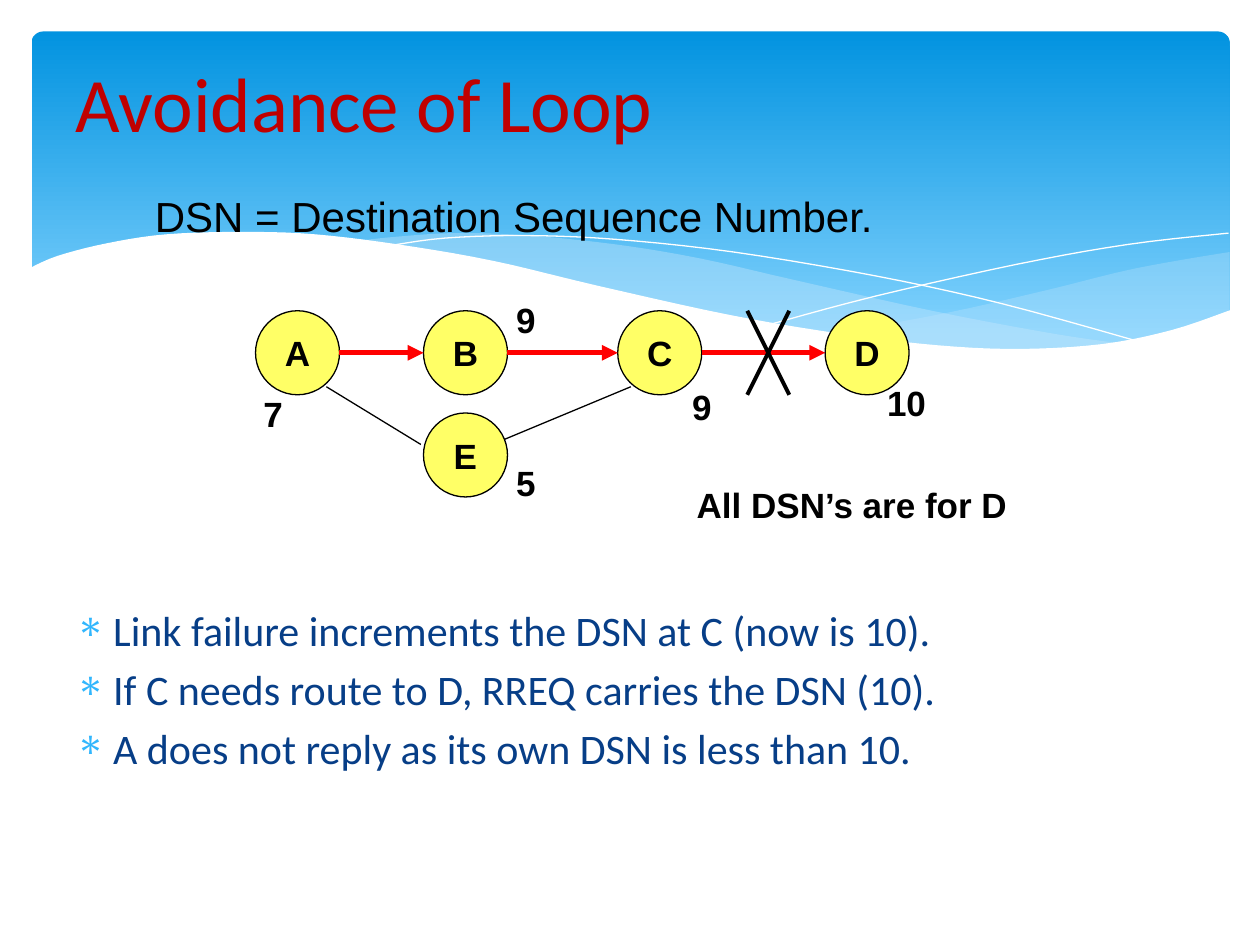
from pptx import Presentation
from pptx.dml.color import RGBColor
from pptx.enum import shapes, text
from pptx.oxml import parse_xml
from pptx.oxml.ns import nsdecls, qn
from pptx.util import Pt
from lxml import etree

THEME = dict(
    sky="0293E0", pale="83D3FE", mist="C6E7FC", white="FFFFFF", black="000000",
    title="C00000", body="073E87", mark="31B6FD", node="FFFF66", route="FF0000",
    big=44, mid=24, small=20, head="Calibri", sans="Arial",
)

TITLE = "Avoidance of Loop"
NOTE = "DSN = Destination Sequence Number."
POINTS = [
    "Link failure increments the DSN at C (now is 10).",
    "If C needs route to D, RREQ carries the DSN (10).",
    "A does not reply as its own DSN is less than 10.",
]

# Network: node -> left, top
SIZE = 48
ROW = 177.6
NODES = {"A": (146, ROW), "B": (242, ROW), "C": (353, ROW),
         "D": (471.5, ROW), "E": (242, 236)}
ROUTES = ["AB", "BC", "CD"]
LINKS = [((186.5, 221), (240.5, 254)), ((288.5, 251), (360.5, 221))]
CROSS = (427, ROW, 451, ROW + SIZE)
LABELS = [  # words, left, top, width
    ("10", 499.5, 214.5, 37), ("9", 388, 216.5, 26), ("9", 287.5, 167, 26),
    ("7", 143, 221, 26), ("5", 287.5, 260, 26),
]

# Waves: each is a list of smooth edges, with straight joins between them
RIGHT = [
    [(702.7, 144), (672.5, 149), (641.5, 155), (599, 165.6), (542, 178.6), (476, 190.8)],
    [(476, 190.8), (527, 197.3), (570, 199.6), (601, 199.4), (634, 197), (663, 191),
     (683, 185), (702.7, 177.8)],
]
MIDDLE = [
    [(643, 196.6), (602.6, 190.8), (533.5, 177.8), (453, 159.8), (399.6, 147.6),
     (352, 139.7), (302.4, 134.6), (260, 133.2), (225.4, 135.4), (206, 137.5)],
    [(206, 137.5), (260.6, 146.2), (323.3, 159.8), (407.5, 178.6), (478.8, 191.5),
     (530, 198), (573, 200.2), (617, 199.4), (643, 196.6)],
]
FRONT = [
    [(703.4, 177.1), (669.6, 188.6), (630, 196.6), (582.5, 199.4), (535.7, 197.3),
     (481, 190.8), (417, 180), (342, 163.4), (281.5, 149), (227.5, 139.7),
     (180, 133.9), (139, 132.5), (95, 133.9), (61.2, 139), (33, 146.2), (16.6, 153.4)],
    [(16.6, 236.9), (703.4, 236.9)],
]
FALL = [[(222.5, 140.4), (254, 136.1), (299.5, 134.6), (352, 136.8), (419, 144),
         (500.4, 157.7), (572.4, 173.5), (653, 195.8)]]
RISE = [[(441.4, 185), (500.4, 169.2), (580.3, 151.2), (644.4, 139.7), (702, 133.2)]]


def rgb(name):
    return RGBColor.from_string(THEME[name])


def smooth(pts, steps=5):
    """Catmull-Rom curve through the points, as short straight pieces."""
    ends = [pts[0], *pts, pts[-1]]
    out = [pts[0]]
    for a, b, c, d in zip(ends, ends[1:], ends[2:], ends[3:]):
        for i in range(1, steps + 1):
            t = i / steps
            out.append(tuple(
                (2 * q + (r - p) * t + (2 * p - 5 * q + 4 * r - s) * t ** 2
                 + (3 * q - p - 3 * r + s) * t ** 3) / 2
                for p, q, r, s in zip(a, b, c, d)))
    return out


def wave(edges, fill=None, alpha=None):
    """Filled band, or a hairline when there is no fill."""
    pts = [(Pt(x), Pt(y)) for edge in edges for x, y in smooth(edge)]
    pen = slide.shapes.build_freeform(*pts[0], scale=1.0)
    pen.add_line_segments(pts[1:], close=fill is not None)
    shape = pen.convert_to_shape()
    shape.shadow.inherit = False
    if fill is None:
        shape.fill.background()
        shape.line.color.rgb = rgb("white")
        shape.line.width = Pt(0)
        return
    shape.line.fill.background()
    shape.fill.solid()
    shape.fill.fore_color.rgb = rgb(fill)
    if alpha:
        tint = shape.fill._xPr.find(".//" + qn("a:srgbClr"))
        etree.SubElement(tint, qn("a:alpha")).set("val", str(alpha * 1000))


def style(para, size, color="black", face="sans", bold=False):
    font = para.font
    font.size, font.bold, font.name = Pt(THEME[size]), bold, THEME[face]
    font.color.rgb = rgb(color)


def box(words, x, y, w, h, wrap=True, grow=True, align=text.PP_ALIGN.LEFT, **look):
    shape = slide.shapes.add_textbox(Pt(x), Pt(y), Pt(w), Pt(h))
    frame = shape.text_frame
    frame.word_wrap = wrap
    if grow:
        frame.auto_size = text.MSO_AUTO_SIZE.SHAPE_TO_FIT_TEXT
    frame.text = words
    for para in frame.paragraphs:
        para.alignment = align
        style(para, **look)
    return frame


def line(x1, y1, x2, y2, color="black", width=0.75, arrow=False):
    link = slide.shapes.add_connector(
        shapes.MSO_CONNECTOR.STRAIGHT, Pt(x1), Pt(y1), Pt(x2), Pt(y2))
    link.line.color.rgb = rgb(color)
    link.line.width = Pt(width)
    if arrow:
        tip = etree.SubElement(link.line._get_or_add_ln(), qn("a:tailEnd"))
        tip.set("type", "triangle")
    etree.SubElement(link._element.spPr, qn("a:effectLst"))


def node(name, x, y):
    disc = slide.shapes.add_shape(
        shapes.MSO_SHAPE.OVAL, Pt(x), Pt(y), Pt(SIZE), Pt(SIZE))
    disc.shadow.inherit = False
    disc.fill.solid()
    disc.fill.fore_color.rgb = rgb("node")
    disc.line.color.rgb = rgb("black")
    disc.line.width = Pt(0.75)
    frame = disc.text_frame
    frame.word_wrap = False
    frame.vertical_anchor = text.MSO_ANCHOR.MIDDLE
    frame.text = name
    para = frame.paragraphs[0]
    para.alignment = text.PP_ALIGN.CENTER
    style(para, "small", bold=True)


def bullet(para):
    props = para._p.get_or_add_pPr()
    props.set("marL", str(Pt(21.6)))
    props.set("indent", str(-Pt(21.6)))
    props.append(parse_xml(
        f'<a:buClr {nsdecls("a")}><a:srgbClr val="{THEME["mark"]}"/></a:buClr>'))
    props.append(parse_xml(f'<a:buChar {nsdecls("a")} char="∗"/>'))


deck = Presentation()
deck.slide_width, deck.slide_height = Pt(720), Pt(540)
slide = deck.slides.add_slide(deck.slide_layouts[6])

# Banner
panel = slide.shapes.add_shape(
    shapes.MSO_SHAPE.ROUNDED_RECTANGLE, Pt(18), Pt(18), Pt(684.7), Pt(194.4))
panel.adjustments[0] = 0.034
panel.shadow.inherit = False
panel.line.fill.background()
panel.fill.gradient()
panel.fill.gradient_angle = 270
for stop, (color, pos) in zip(panel.fill.gradient_stops, [("sky", 0), ("pale", 0.9)]):
    stop.color.rgb = rgb(color)
    stop.position = pos
wave(RIGHT, "mist", 29)
wave(MIDDLE, "mist", 40)
wave(FALL)
wave(RISE)
wave(FRONT, "white")

# Words
head = box(TITLE, 36, 26.6, 648, 63.4, grow=False, size="big", color="title", face="head")
head.vertical_anchor = text.MSO_ANCHOR.MIDDLE
body = box("\n".join(POINTS), 36, 342, 648, 140.4, grow=False,
           size="mid", color="body", face="head")
for i, para in enumerate(body.paragraphs):
    if i:
        para.space_before = Pt(4.8)
    bullet(para)

# Network
for name, (x, y) in NODES.items():
    node(name, x, y)
for start, end in ROUTES:
    mid = ROW + SIZE / 2
    line(NODES[start][0] + SIZE, mid, NODES[end][0], mid, "route", 3, True)
left, top, right, low = CROSS
line(left, top, right, low, width=2.25)
line(right, top, left, low, width=2.25)
for start, end in LINKS:
    line(*start, *end)
for words, x, y, w in LABELS:
    box(words, x, y, w, 31, wrap=False, align=text.PP_ALIGN.CENTER,
        size="small", bold=True)
box("All DSN’s are for D", 391, 273, 193, 31.7, wrap=False, size="small", bold=True)
note = box(NOTE, 51, 108.7, 485.3, 57, align=text.PP_ALIGN.CENTER, size="mid")
note.paragraphs[0].line_spacing = 0.9

deck.save("out.pptx")
